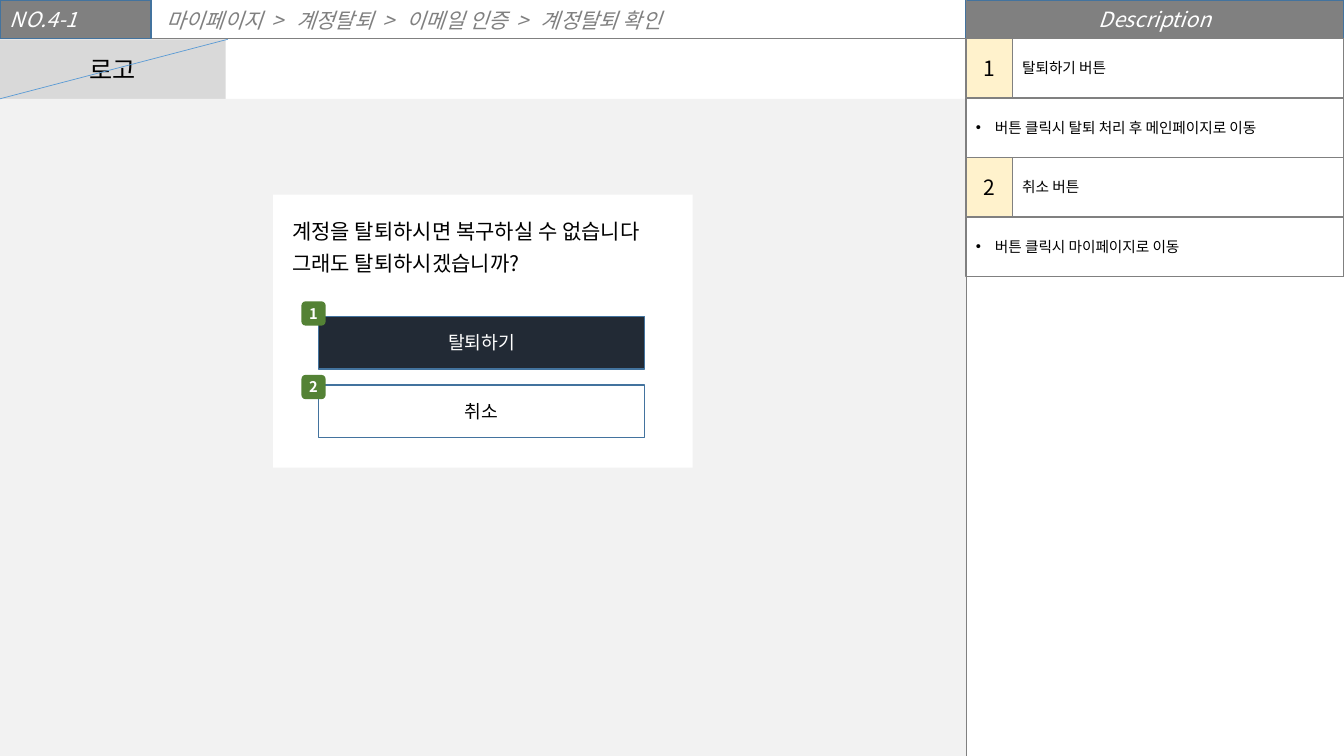
from lxml.etree import SubElement
from pptx import Presentation
from pptx.dml.color import RGBColor
from pptx.enum.shapes import MSO_CONNECTOR, MSO_SHAPE
from pptx.enum.text import MSO_ANCHOR, MSO_AUTO_SIZE, PP_ALIGN
from pptx.oxml.ns import qn
from pptx.util import Inches, Pt

GRAY, BLUE, WHITE, BLACK = "808080", "43739E", "FFFFFF", "000000"
CENTER = {"alignment": PP_ALIGN.CENTER}
LEFT = {"alignment": PP_ALIGN.LEFT}


def color(hex_code):
    """Turn a hex string into a colour."""
    return RGBColor.from_string(hex_code)


def apply(target, formats):
    """Set each format value on the target."""
    for name, value in formats.items():
        setattr(target, name, value)


class Wireframe:
    """Draws one slide with lengths in percent of the slide's size."""

    font = "Noto Sans CJK KR"

    def __init__(self):
        """Start a deck with one title-only slide."""
        self.deck = Presentation()
        apply(self.deck, {"slide_width": Inches(13.33), "slide_height": Inches(7.5)})
        self.slide = self.deck.slides.add_slide(self.deck.slide_layouts[5])

    def place(self, x, y):
        """Convert percent shares to slide lengths."""
        return int(self.deck.slide_width * x / 100), int(self.deck.slide_height * y / 100)

    def add_words(self, paragraph, text, size, ink, **look):
        """Add a run in the house font."""
        run = paragraph.add_run()
        run.text = text
        apply(run.font, {"name": self.font, "size": Pt(size), **look})
        run.font.color.rgb = color(ink)
        properties = run._r.get_or_add_rPr()
        SubElement(properties, qn("a:ea")).set("typeface", self.font)
        return properties

    def title(self, box, steps):
        """Fill the title placeholder with the breadcrumb trail."""
        heading = self.slide.shapes.title
        left, top = self.place(*box[:2])
        width, height = self.place(*box[2:])
        apply(heading, {"left": left, "top": top, "width": width, "height": height})
        apply(heading.text_frame, {"word_wrap": True, "auto_size": MSO_AUTO_SIZE.NONE,
                                   "vertical_anchor": MSO_ANCHOR.MIDDLE})
        trail = heading.text_frame.paragraphs[0]
        apply(trail, LEFT)
        for index, step in enumerate(steps):
            if index:
                self.add_words(trail, " > ", 15, GRAY, italic=True).set("spc", "285")
            self.add_words(trail, step, 15, GRAY, italic=True)

    def box(self, box, fill=None, edge=None, kind=MSO_SHAPE.RECTANGLE):
        """Add a preset shape with optional fill and outline."""
        shape = self.slide.shapes.add_shape(kind, *self.place(*box[:2]), *self.place(*box[2:]))
        shape.shadow.inherit = False
        if fill:
            shape.fill.solid()
            shape.fill.fore_color.rgb = color(fill)
        else:
            shape.fill.background()
        if edge:
            shape.line.color.rgb = color(edge)
            shape.line.width = Pt(1)
        else:
            shape.line.fill.background()
        return shape

    def label(self, shape, text, size, ink=BLACK, layout=CENTER, frame=None, **look):
        """Put a vertically centred label in a shape."""
        apply(shape.text_frame, {"word_wrap": True, "vertical_anchor": MSO_ANCHOR.MIDDLE,
                                 **(frame or {})})
        paragraph = shape.text_frame.paragraphs[0]
        apply(paragraph, layout)
        self.add_words(paragraph, text, size, ink, **look)
        return paragraph

    def bullet(self, shape, text, size):
        """Put a bulleted line in a shape."""
        properties = self.label(shape, text, size, layout=LEFT)._p.get_or_add_pPr()
        properties.set("marL", str(Inches(0.19)))
        properties.set("indent", str(-Inches(0.19)))
        SubElement(properties, qn("a:buFont")).set("typeface", "Arial")
        SubElement(properties, qn("a:buChar")).set("char", "•")

    def message(self, box, text, size):
        """Add a wrapping text box with loose lines."""
        note = self.slide.shapes.add_textbox(*self.place(*box[:2]), *self.place(*box[2:]))
        self.label(note, text, size, layout={"line_spacing": 1.3},
                   frame={"vertical_anchor": MSO_ANCHOR.TOP,
                          "auto_size": MSO_AUTO_SIZE.SHAPE_TO_FIT_TEXT})

    def line(self, start, end, ink):
        """Add a thin straight line."""
        rule = self.slide.shapes.add_connector(
            MSO_CONNECTOR.STRAIGHT, *self.place(*start), *self.place(*end))
        rule.line.color.rgb = color(ink)
        rule.line.width = Pt(0.5)
        SubElement(rule._element.spPr, qn("a:effectLst"))


def main():
    """Build the account withdrawal screen."""
    page = Wireframe()
    split, header, row, number = 71.87, 5.07, 7.87, 3.45
    side = 100 - split

    page.title((11.63, 0.27, 49.74, 4.67),
               ["마이페이지", "계정탈퇴", "이메일 인증", "계정탈퇴 확인"])
    page.line((0, header), (100, header), GRAY)
    page.label(page.box((split, 0, side, header), GRAY, BLUE),
               "Description", 15, WHITE, italic=True)
    page.line((split, 0), (split, 100), GRAY)
    page.label(page.box((0, 0, 11.25, header), GRAY, BLUE),
               "NO.4-1", 15, WHITE, LEFT, italic=True)

    banner, body = 5.2, 13.07
    page.box((0, banner, split, row), WHITE)
    page.label(page.box((0, banner, 16.8, row), "D9D9D9"), "로고", 18)
    page.box((0, body, split, 100 - body), "F2F2F2")
    page.line((0, body), (16.95, banner), "5B9BD5")

    descriptions = [("탈퇴하기 버튼", "버튼 클릭시 탈퇴 처리 후 메인페이지로 이동"),
                    ("취소 버튼", "버튼 클릭시 마이페이지로 이동")]
    for index, (control, action) in enumerate(descriptions):
        top = header + 2 * index * row
        page.label(page.box((split + number, top, side - number, row), WHITE, GRAY),
                   control, 10.5, layout=LEFT)
        page.label(page.box((split, top, number, row), "FFF2CC", GRAY), str(index + 1), 15)
        page.bullet(page.box((split, top + row, side, row), WHITE, GRAY), action, 10.5)

    page.box((20.33, 25.73, 31.21, 36.13), WHITE)
    page.message((21.01, 27.2, 29.26, 10.13),
                 "계정을 탈퇴하시면 복구하실 수 없습니다 그래도 탈퇴하시겠습니까?", 15)
    buttons = [("탈퇴하기", 41.87, 39.87, "222A35", WHITE),
               ("취소", 50.93, 49.6, None, BLACK)]
    for index, (caption, top, badge_top, fill, ink) in enumerate(buttons, 1):
        page.label(page.box((23.71, top, 24.23, 6.93), fill, BLUE), caption, 13, ink)
        badge = page.box((22.43, badge_top, 1.8, 3.2), "548235",
                         kind=MSO_SHAPE.ROUNDED_RECTANGLE)
        page.label(badge, str(index), 10.5, WHITE,
                   frame={"margin_left": 0, "margin_right": 0}, bold=True)

    page.deck.save("out.pptx")


if __name__ == "__main__":
    main()
